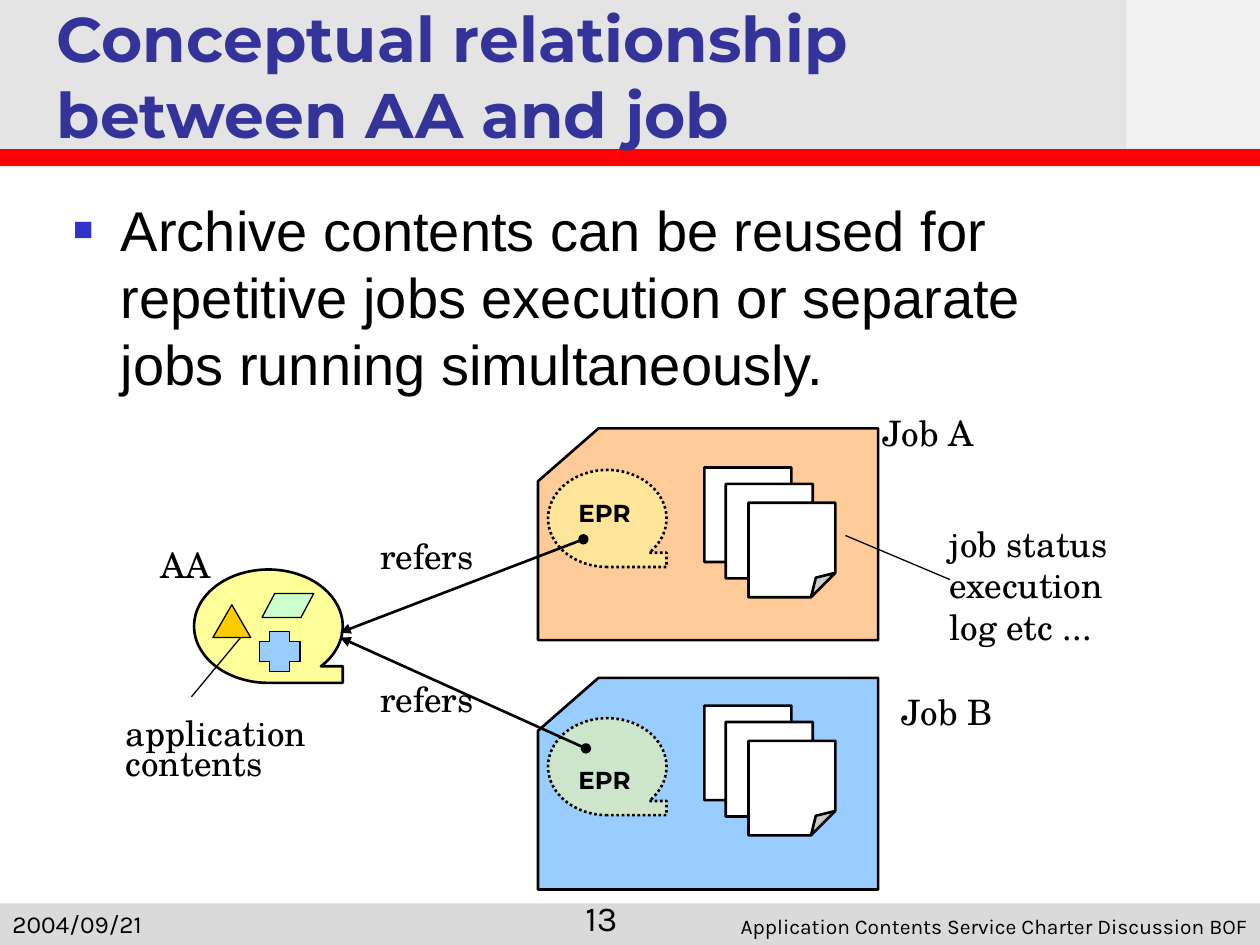
from lxml import etree
from pptx import Presentation
from pptx.dml.color import RGBColor
from pptx.enum import dml, shapes, text
from pptx.oxml import ns
from pptx.util import Inches, Pt

BLACK = RGBColor(0x00, 0x00, 0x00)
WHITE = RGBColor(0xFF, 0xFF, 0xFF)
NAVY = RGBColor(0x33, 0x33, 0x99)
BULLET_BLUE = RGBColor(0x33, 0x33, 0xCC)
FOOTER_GRAY = RGBColor(0xDA, 0xDA, 0xDA)
HEADER_GRAY = RGBColor(0xE4, 0xE4, 0xE4)
RED = RGBColor(0xFF, 0x01, 0x01)
PEACH = RGBColor(0xFF, 0xCC, 0x99)
SKY = RGBColor(0x99, 0xCC, 0xFF)
YELLOW = RGBColor(0xFF, 0xFF, 0x99)
GOLD = RGBColor(0xFF, 0xCC, 0x00)
MINT = RGBColor(0xCC, 0xFF, 0xCC)

SHAPE = shapes.MSO_SHAPE
ALIGN = text.PP_ALIGN
ANCHOR = text.MSO_ANCHOR


def sub(parent, tag, **attributes):
    return etree.SubElement(parent, ns.qn(tag), attributes)


class SlideBuilder:
    label_font = "TeX Gyre Schola"
    heading_font = "Montserrat"
    footer_font = "Karla"
    body_font = "Arial"

    def __init__(self, slide):
        self.slide = slide

    def place(self, shape, box):
        shape.left, shape.top, shape.width, shape.height = map(Inches, box)

    def style(self, paragraph, font, size, color=BLACK, bold=False):
        paragraph.font.name = font
        paragraph.font.size = Pt(size)
        paragraph.font.bold = bold
        paragraph.font.color.rgb = color

    def paint(self, shape, fill, line=None, alpha=None, dash=None):
        shape.shadow.inherit = False
        shape.fill.solid()
        shape.fill.fore_color.rgb = fill
        if alpha:
            color = shape._element.spPr.find(ns.qn("a:solidFill"))[0]
            sub(color, "a:alpha", val=str(alpha * 1000))
        if line is None:
            shape.line.fill.background()
            return
        shape.line.color.rgb = BLACK
        shape.line.width = Pt(line)
        if dash:
            shape.line.dash_style = dash

    def shape(self, kind, box, fill, line=None, adjust=None, **options):
        item = self.slide.shapes.add_shape(kind, *map(Inches, box))
        if adjust is not None:
            guides = item._element.spPr.find(".//" + ns.qn("a:avLst"))
            guides.clear()
            sub(guides, "a:gd", name="adj", fmla=f"val {adjust * 1000:.0f}")
        self.paint(item, fill, line, **options)

    def outline(self, points, fill):
        corners = [(Inches(x), Inches(y)) for x, y in points]
        builder = self.slide.shapes.build_freeform(*corners[0])
        builder.add_line_segments(corners[1:], close=True)
        self.paint(builder.convert_to_shape(), fill, 1.5)

    def line(self, start, end, width=0.75, color=BLACK, arrow=False):
        item = self.slide.shapes.add_connector(
            shapes.MSO_CONNECTOR.STRAIGHT, *map(Inches, start + end))
        item.line.color.rgb = color
        item.line.width = Pt(width)
        if arrow:
            stroke = item._element.spPr.find(ns.qn("a:ln"))
            sub(stroke, "a:headEnd", type="oval")
            sub(stroke, "a:tailEnd", type="triangle")
        sub(item._element.spPr, "a:effectLst")

    def text(self, lines, box, font, size, align=ALIGN.LEFT,
             spacings=(None,), bold=False, anchor=ANCHOR.TOP, inset=True):
        frame = self.slide.shapes.add_textbox(*map(Inches, box)).text_frame
        frame.word_wrap = True
        frame.vertical_anchor = anchor
        if not inset:
            frame.margin_left = frame.margin_right = 0
            frame.margin_top = frame.margin_bottom = 0
        frame.text = "\n".join(lines)
        for paragraph, spacing in zip(frame.paragraphs, spacings):
            paragraph.alignment = align
            if spacing:
                paragraph.line_spacing = spacing
            self.style(paragraph, font, size, bold=bold)

    def label(self, lines, box, align=ALIGN.JUSTIFY, spacings=(0.72, 0.72)):
        self.text(lines, box, self.label_font, 20, align, spacings)

    def footer(self, words, box, size, align):
        self.text([words], box, self.footer_font, size, align,
                  anchor=ANCHOR.BOTTOM)

    def placeholder(self, item, words, box, anchor):
        self.place(item, box)
        self.slide.shapes._spTree.append(item._element)
        frame = item.text_frame
        frame.text = words
        frame.word_wrap = True
        frame.auto_size = text.MSO_AUTO_SIZE.NONE
        frame.vertical_anchor = anchor
        paragraph = frame.paragraphs[0]
        paragraph.alignment = ALIGN.LEFT
        paragraph.space_before = Pt(0)
        return paragraph

    def title(self, words, box):
        paragraph = self.placeholder(
            self.slide.shapes.title, words, box, ANCHOR.BOTTOM)
        self.style(paragraph, self.heading_font, 36, NAVY, True)

    def body(self, words, box):
        paragraph = self.placeholder(
            self.slide.placeholders[1], words, box, ANCHOR.TOP)
        props = paragraph._p.get_or_add_pPr()
        props.set("marL", str(Inches(0.38)))
        props.set("indent", str(Inches(-0.38)))
        sub(sub(props, "a:buClr"), "a:srgbClr", val=str(BULLET_BLUE))
        sub(props, "a:buSzPct", val="60000")
        sub(props, "a:buFont", typeface=self.body_font)
        sub(props, "a:buChar", char="■")
        self.style(paragraph, self.body_font, 32)

    def job(self, top, fill):
        left, right, bottom = 4.27, 6.97, top + 1.68
        self.outline([(left, bottom), (left, top + 0.42), (left + 0.48, top),
                      (right, top), (right, bottom)], fill)

    def reference(self, top):
        self.shape(SHAPE.FLOWCHART_SEQUENTIAL_ACCESS_STORAGE,
                   (4.35, top, 0.94, 0.77), YELLOW, 1.5, alpha=50,
                   dash=dml.MSO_LINE.ROUND_DOT)

    def documents(self, top):
        for x, drop in ((5.59, 0), (5.76, 0.13), (5.94, 0.28)):
            self.shape(SHAPE.FOLDED_CORNER, (x, top + drop, 0.69, 0.75),
                       WHITE, 1.5, 28.1)


def main():
    deck = Presentation()
    deck.slide_width, deck.slide_height = Inches(10), Inches(7.5)
    page = SlideBuilder(deck.slides.add_slide(deck.slide_layouts[1]))

    page.shape(SHAPE.RECTANGLE, (0, 7.17, 10, 0.34), FOOTER_GRAY)
    page.shape(SHAPE.RECTANGLE, (0, 0, 10, 1.33), HEADER_GRAY)
    page.line((0, 1.25), (10, 1.25), 10, RED)
    page.shape(SHAPE.RECTANGLE, (8.94, 0, 1.06, 1.18), WHITE, alpha=50)
    page.title("Conceptual relationship between AA and job",
               (0.35, 0, 8.52, 1.25))
    page.body("Archive contents can be reused for repetitive jobs execution "
              "or separate jobs running simultaneously.",
              (0.48, 1.5, 8.5, 5.21))

    page.shape(SHAPE.FLOWCHART_SEQUENTIAL_ACCESS_STORAGE,
               (1.54, 4.52, 1.18, 0.9), YELLOW, 1.5)
    page.shape(SHAPE.ISOSCELES_TRIANGLE, (1.69, 4.8, 0.3, 0.26), GOLD, 0.75)
    page.shape(SHAPE.PARALLELOGRAM, (2.08, 4.71, 0.41, 0.19), MINT, 0.75,
               52.8)
    page.shape(SHAPE.CROSS, (2.06, 5.01, 0.32, 0.32), SKY, 0.75)

    jobs = (
        ("Job A", 3.4, PEACH, (6.66, 3.3), 3.73, 3.71, 3.95, 4.28,
         (4.63, 4.28), (2.7, 5.02)),
        ("Job B", 5.38, SKY, (6.81, 5.52), 5.7, 5.6, 6.07, 5.41,
         (4.65, 5.94), (2.7, 5.06)),
    )
    for (name, top, fill, name_at, reference_top, documents_top, epr_top,
         refers_top, start, end) in jobs:
        page.job(top, fill)
        page.label([name], (*name_at, 1.41, 0.48), ALIGN.CENTER)
        page.reference(reference_top)
        page.documents(documents_top)
        page.line(start, end, 1.5, arrow=True)
        page.label(["refers"], (2.92, refers_top, 1, 0.48))
        page.text(["EPR"], (4.59, epr_top, 0.75, 0.39), page.heading_font, 14,
                  ALIGN.JUSTIFY, bold=True, inset=False)

    page.label(["AA"], (1.03, 4.35, 0.89, 0.48), ALIGN.CENTER)
    page.label(["job status", "execution log etc ..."],
               (7.44, 4.18, 1.54, 1.05), spacings=(0.72, None))
    page.line((7.54, 4.6), (6.71, 4.25))
    page.label(["application", "contents"], (0.9, 5.68, 1.66, 0.79))
    page.line((1.52, 5.53), (1.91, 5.06))

    page.footer("Application Contents Service Charter Discussion BOF",
                (5.17, 7.25, 4.83, 0.25), 12, ALIGN.RIGHT)
    page.footer("13", (3.92, 7.25, 1.08, 0.25), 20, ALIGN.RIGHT)
    page.footer("2004/09/21", (0, 7, 2.08, 0.5), 14, ALIGN.LEFT)
    deck.save("out.pptx")


if __name__ == "__main__":
    main()
